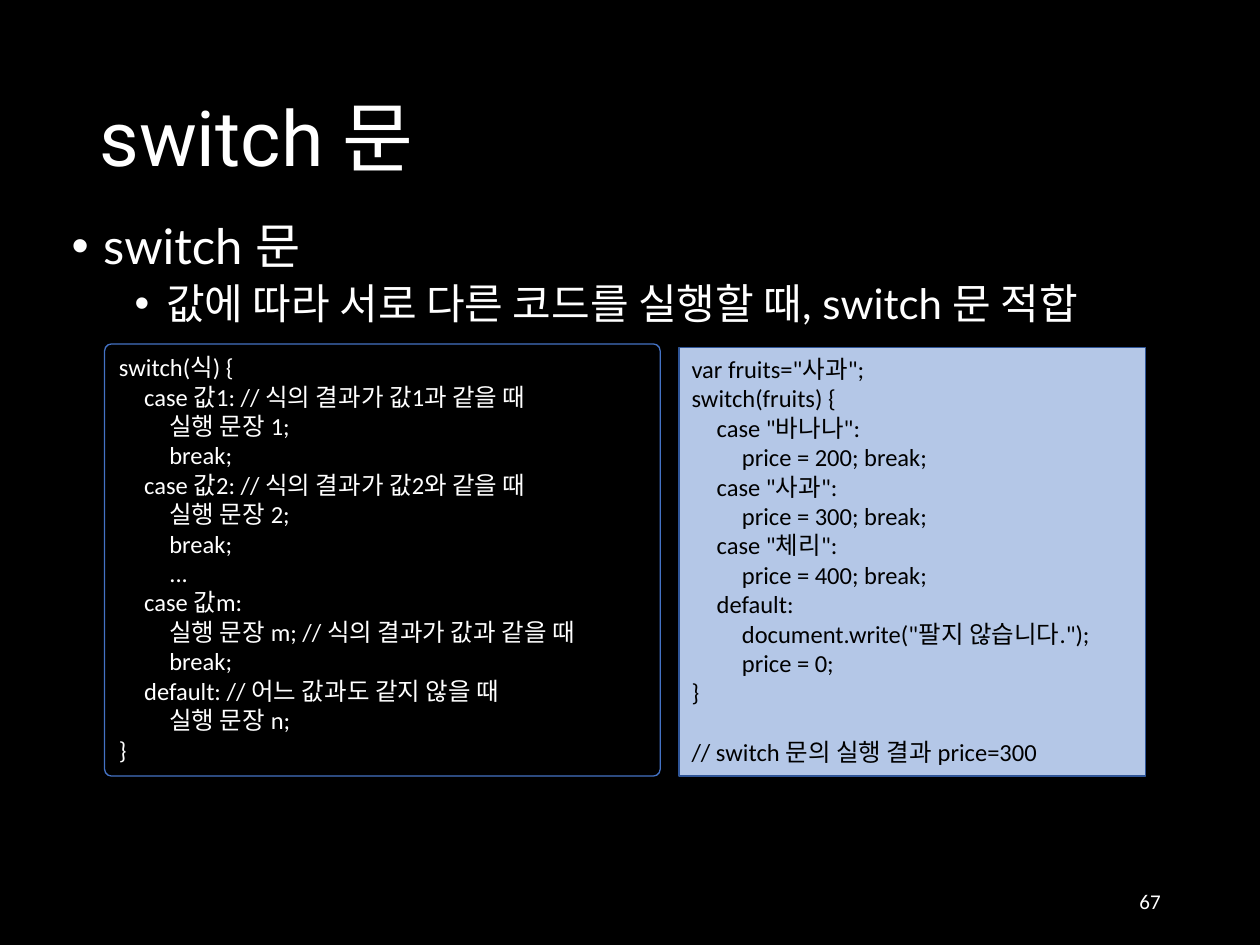
from dataclasses import dataclass, field
from typing import Any

from lxml.etree import SubElement
from pptx import Presentation
from pptx.dml.color import RGBColor
from pptx.enum.shapes import MSO_SHAPE
from pptx.enum.text import MSO_ANCHOR, PP_ALIGN
from pptx.oxml.ns import qn
from pptx.util import Inches, Pt

COLUMNS, ROWS = 100, 75
WIDTH, HEIGHT = Inches(10), Inches(7.5)
TAB_STEP, TAB_STOPS = Inches(0.2), 2

SYNTAX = """switch(식) {
\tcase 값1: // 식의 결과가 값1과 같을 때
\t\t실행 문장 1;
\t\tbreak;
\tcase 값2: // 식의 결과가 값2와 같을 때
\t\t실행 문장 2;
\t\tbreak;
\t\t...
\tcase 값m:
\t\t실행 문장 m; // 식의 결과가 값과 같을 때
\t\tbreak;
\tdefault: // 어느 값과도 같지 않을 때
\t\t실행 문장 n;
}"""

EXAMPLE = """var fruits="사과";
switch(fruits) {
\tcase "바나나":
\t\tprice = 200; break;
\tcase "사과":
\t\tprice = 300; break;
\tcase "체리":
\t\tprice = 400; break;
\tdefault:
\t\tdocument.write("팔지 않습니다.");
\t\tprice = 0;
}"""
RESULT = "// switch 문의 실행 결과 price=300"


@dataclass(frozen=True)
class Area:
    """A place on the slide in grid columns and rows."""

    column: float
    row: float
    columns: float
    rows: float

    def place(self) -> tuple[int, ...]:
        """Return left, top, width and height."""
        across, down = WIDTH / COLUMNS, HEIGHT / ROWS
        return (int(self.column * across), int(self.row * down),
                int(self.columns * across), int(self.rows * down))


@dataclass(frozen=True)
class Line:
    """One paragraph with its type and layout."""

    text: str
    size: float
    face: str = "Calibri"
    ink: str = "FFFFFF"
    indent: float = 0
    tabbed: bool = False
    layout: dict[str, Any] = field(default_factory=dict)


@dataclass(frozen=True)
class Panel:
    """A framed block of code."""

    area: Area
    outline: MSO_SHAPE
    border: str
    fill: str | None
    lines: list[Line]


def colour(value: str) -> RGBColor:
    """Turn a hex string into a colour."""
    return RGBColor.from_string(value)


def apply(target: Any, values: dict[str, Any]) -> None:
    """Set every named attribute on the target."""
    for name, value in values.items():
        setattr(target, name, value)


def add_bullet(paragraph: Any, indent: float) -> None:
    """Give the paragraph a hanging round bullet."""
    properties = paragraph._p.get_or_add_pPr()
    properties.set("marL", str(Inches(indent)))
    properties.set("indent", str(-Inches(0.25)))
    SubElement(properties, qn("a:buFont"), typeface="Arial")
    SubElement(properties, qn("a:buChar"), char="•")


def add_tabs(paragraph: Any) -> None:
    """Give the paragraph evenly spaced tab stops."""
    stops = SubElement(paragraph._p.get_or_add_pPr(), qn("a:tabLst"))
    for step in range(1, TAB_STOPS + 1):
        SubElement(stops, qn("a:tab"), pos=str(step * TAB_STEP), algn="l")


def write(frame: Any, lines: list[Line], anchor: MSO_ANCHOR = MSO_ANCHOR.TOP) -> None:
    """Fill a text frame with lines."""
    apply(frame, {"word_wrap": True, "vertical_anchor": anchor})
    for number, line in enumerate(lines):
        paragraph = frame.add_paragraph() if number else frame.paragraphs[0]
        if line.indent:
            add_bullet(paragraph, line.indent)
        if line.tabbed:
            add_tabs(paragraph)
        apply(paragraph, {"alignment": PP_ALIGN.LEFT, **line.layout})
        run = paragraph.add_run()
        run.text = line.text
        apply(run.font, {"size": Pt(line.size), "name": line.face})
        run.font.color.rgb = colour(line.ink)


def code_lines(code: str, ink: str) -> list[Line]:
    """Split code into tabbed lines."""
    return [Line(text, 14, ink=ink, tabbed=True) for text in code.split("\n")]


def draw_text(slide: Any, area: Area, lines: list[Line], anchor: MSO_ANCHOR) -> None:
    """Draw an unframed text."""
    write(slide.shapes.add_textbox(*area.place()).text_frame, lines, anchor)


def draw_panel(slide: Any, panel: Panel) -> None:
    """Draw a framed block of code."""
    frame = slide.shapes.add_shape(panel.outline, *panel.area.place())
    frame.shadow.inherit = False
    if panel.fill:
        frame.fill.solid()
        frame.fill.fore_color.rgb = colour(panel.fill)
    else:
        frame.fill.background()
    frame.line.color.rgb = colour(panel.border)
    frame.line.width = Pt(0.75)
    if panel.outline == MSO_SHAPE.ROUNDED_RECTANGLE:
        frame.adjustments[0] = 0.016
    write(frame.text_frame, panel.lines)


def main() -> None:
    """Build and save the slide."""
    deck = Presentation()
    apply(deck, {"slide_width": WIDTH, "slide_height": HEIGHT})
    slide = deck.slides.add_slide(deck.slide_layouts[6])
    slide.background.fill.solid()
    slide.background.fill.fore_color.rgb = colour("000000")

    tight = {"line_spacing": 0.9}
    heading = [Line("switch 문", 44, "Roboto", layout=tight)]
    points = [
        Line("switch 문", 28, "Lato", indent=0.25, layout=tight),
        Line("값에 따라 서로 다른 코드를 실행할 때, switch 문 적합", 24, "Lato", indent=0.75,
             layout={**tight, "level": 1, "space_before": Pt(5)}),
    ]
    page_number = [Line("67", 12, layout={"alignment": PP_ALIGN.RIGHT})]
    result = Line(RESULT, 14, ink="000000", layout={"space_before": Pt(17)})

    draw_text(slide, Area(6.9, 4, 86.2, 14.5), heading, MSO_ANCHOR.MIDDLE)
    draw_text(slide, Area(4.7, 17.1, 87, 44.5), points, MSO_ANCHOR.TOP)
    draw_text(slide, Area(70.6, 69.5, 22.5, 4), page_number, MSO_ANCHOR.MIDDLE)
    for panel in (
        Panel(Area(8.3, 27.3, 44.1, 34.3), MSO_SHAPE.ROUNDED_RECTANGLE,
              "4472C4", None, code_lines(SYNTAX, "FFFFFF")),
        Panel(Area(53.9, 27.6, 37, 34), MSO_SHAPE.RECTANGLE,
              "2F5597", "B4C7E7", code_lines(EXAMPLE, "000000") + [result]),
    ):
        draw_panel(slide, panel)
    deck.save("out.pptx")


if __name__ == "__main__":
    main()
